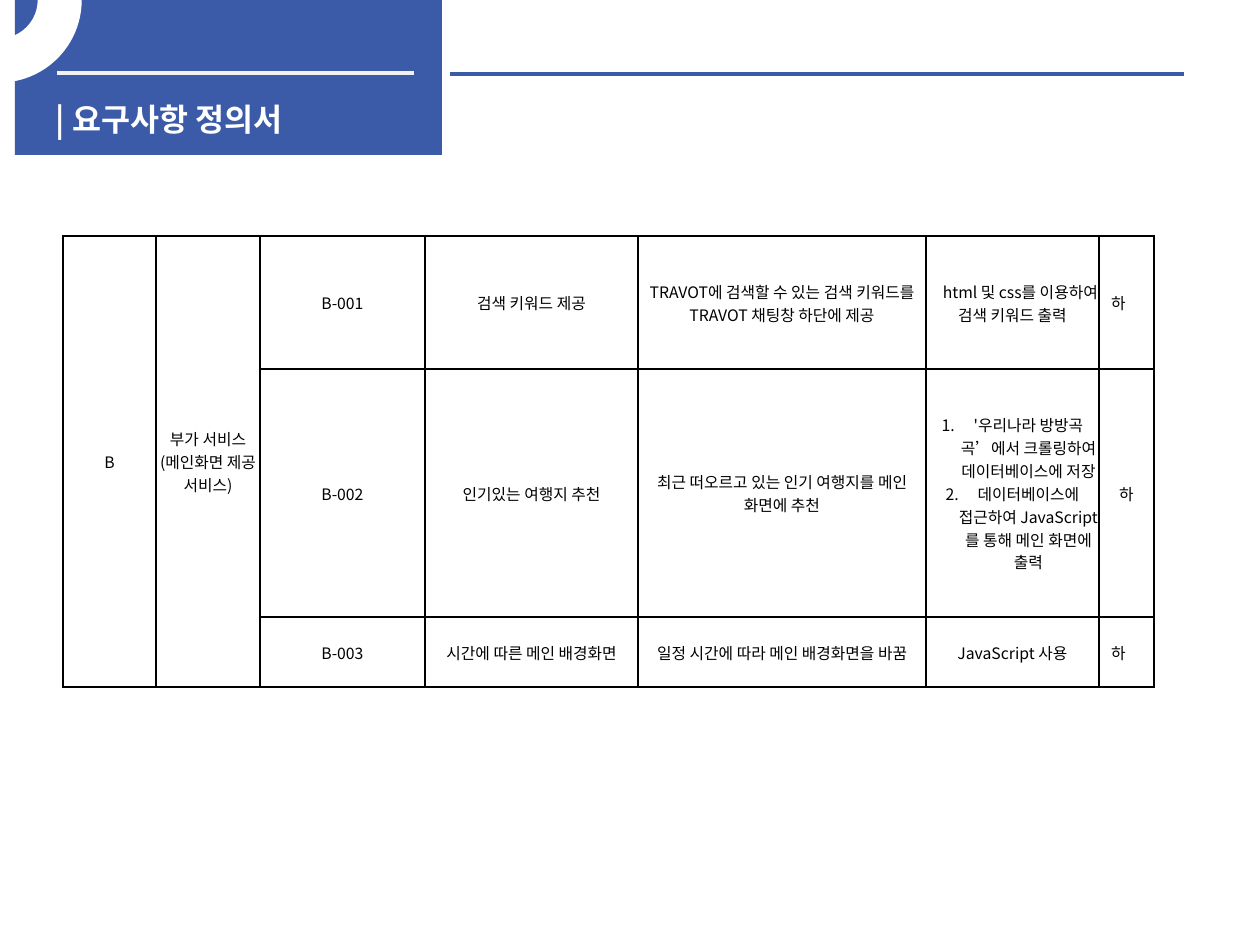
from lxml import etree
from pptx import Presentation
from pptx.dml.color import RGBColor
from pptx.enum.shapes import MSO_CONNECTOR, MSO_SHAPE
from pptx.enum.text import MSO_ANCHOR, MSO_AUTO_SIZE, PP_ALIGN
from pptx.oxml.ns import qn
from pptx.util import Emu, Pt

RECTANGLE, BLOCK_ARC = MSO_SHAPE.RECTANGLE, MSO_SHAPE.BLOCK_ARC
STRAIGHT = MSO_CONNECTOR.STRAIGHT
TOP, MIDDLE = MSO_ANCHOR.TOP, MSO_ANCHOR.MIDDLE
LEFT, CENTER = PP_ALIGN.LEFT, PP_ALIGN.CENTER
NO_FIT = MSO_AUTO_SIZE.NONE
TITLE_ONLY = 5
FONT = "Noto Sans CJK KR"
BLUE, WHITE, PALE, BLACK = "3B5AA8", "FFFFFF", "F2F2F2", "000000"

COLUMNS = [93, 104, 165, 213, 288, 173, 55]
ROWS = [133, 248, 70]
GROUP = [["B"], ["부가 서비스", "(메인화면 제공 서비스)"]]
REQUIREMENTS = [
    [["B-001"], ["검색 키워드 제공"],
     ["TRAVOT에 검색할 수 있는 검색 키워드를 TRAVOT 채팅창 하단에 제공"],
     ["　html 및 css를 이용하여 검색 키워드 출력"], ["하　"]],
    [["B-002"], ["인기있는 여행지 추천"],
     ["최근 떠오르고 있는 인기 여행지를 메인 화면에 추천"],
     ["'우리나라 방방곡곡’에서 크롤링하여 데이터베이스에 저장",
      "데이터베이스에 접근하여 JavaScript를 통해 메인 화면에 출력"], ["하"]],
    [["B-003"], ["시간에 따른 메인 배경화면"],
     ["일정 시간에 따라 메인 배경화면을 바꿈"],
     ["JavaScript 사용"], ["하　"]],
]
NUMBERED_CELL = (1, 5)


def px(length):
    """Convert pixels at 126 to the inch into EMU."""
    return Emu(round(length * 914400 / 126))


def color(value):
    """Turn a hex string into a colour."""
    return RGBColor.from_string(value)


def write(frame, lines, size=9, ink=BLACK, bold=False, align=CENTER, numbered=False):
    """Write one formatted paragraph per line into a text frame."""
    for index, line in enumerate(lines):
        paragraph = frame.add_paragraph() if index else frame.paragraphs[0]
        paragraph.alignment = align
        if numbered:
            properties = paragraph._p.get_or_add_pPr()
            properties.set("marL", str(px(32)))
            properties.set("indent", str(-px(32)))
            etree.SubElement(properties, qn("a:buFont"), typeface="+mj-lt")
            etree.SubElement(properties, qn("a:buAutoNum"), type="arabicPeriod")
        run = paragraph.add_run()
        run.text = line
        run.font.size = Pt(size)
        run.font.bold = bold
        run.font.color.rgb = color(ink)
        run.font.name = FONT
        etree.SubElement(run._r.get_or_add_rPr(), qn("a:ea"), typeface=FONT)


def add_block(slide, kind, left, top, width, height, fill, outline=0):
    """Add a filled preset shape."""
    block = slide.shapes.add_shape(kind, px(left), px(top), px(width), px(height))
    block.shadow.inherit = False
    block.fill.solid()
    block.fill.fore_color.rgb = color(fill)
    if outline:
        block.line.color.rgb = color(fill)
        block.line.width = Pt(outline)
    else:
        block.line.fill.background()
    return block


def add_rule(slide, left, top, width, ink):
    """Add a horizontal rule."""
    rule = slide.shapes.add_connector(
        STRAIGHT, px(left), px(top), px(left + width), px(top))
    rule.line.color.rgb = color(ink)
    rule.line.width = Pt(2.25)
    etree.SubElement(rule._element.spPr, qn("a:effectLst"))


def add_header(slide, left, top, width, height):
    """Build the title band with its rules and ring."""
    add_block(slide, RECTANGLE, left, top, width, height, BLUE)
    add_rule(slide, left + 42, top + 73, 357, PALE)
    add_rule(slide, left + width + 8, top + 74, 734, BLUE)

    title = slide.shapes.title
    title.left, title.top = px(left + 28), px(top + 94)
    title.width, title.height = px(407), px(38)
    frame = title.text_frame
    frame.auto_size = NO_FIT
    frame.word_wrap = True
    frame.vertical_anchor = TOP
    write(frame, ["| 요구사항 정의서"], size=18, ink=WHITE, bold=True, align=LEFT)
    slide.shapes._spTree.append(title._element)

    ring = add_block(slide, BLOCK_ARC, left - 97, top - 81, 162, 162, WHITE, outline=2)
    for index, value in enumerate([96.95, 0, 0.25]):
        ring.adjustments[index] = value
    ring._element.spPr.xfrm.set("flipV", "1")


def set_borders(cell):
    """Draw a thin black border on every side of a cell."""
    properties = cell._tc.get_or_add_tcPr()
    for index, side in enumerate(["lnL", "lnR", "lnT", "lnB"]):
        border = etree.Element(qn(f"a:{side}"), w=str(Pt(1)))
        fill = etree.SubElement(border, qn("a:solidFill"))
        etree.SubElement(fill, qn("a:srgbClr"), val=BLACK)
        properties.insert(index, border)


def add_requirements(slide, left, top):
    """Build the requirements table."""
    table = slide.shapes.add_table(
        len(ROWS), len(COLUMNS), px(left), px(top),
        px(sum(COLUMNS)), px(sum(ROWS))).table
    table.first_row = table.horz_banding = False
    for column, width in zip(table.columns, COLUMNS):
        column.width = px(width)
    for row, height in zip(table.rows, ROWS):
        row.height = px(height)

    for cell in table.iter_cells():
        cell.fill.background()
        cell.vertical_anchor = MIDDLE
        cell.margin_left = cell.margin_right = cell.margin_top = px(1)
        cell.margin_bottom = 0
        set_borders(cell)

    for column, lines in enumerate(GROUP):
        table.cell(0, column).merge(table.cell(len(ROWS) - 1, column))
        write(table.cell(0, column).text_frame, lines)
    for row, requirement in enumerate(REQUIREMENTS):
        for column, lines in enumerate(requirement, len(GROUP)):
            write(table.cell(row, column).text_frame, lines,
                  numbered=(row, column) == NUMBERED_CELL)


def main():
    """Build and save the slide."""
    deck = Presentation()
    deck.slide_width, deck.slide_height = px(1260), px(945)
    slide = deck.slides.add_slide(deck.slide_layouts[TITLE_ONLY])
    add_header(slide, 15, 0, 427, 155)
    add_requirements(slide, 63, 236)
    deck.save("out.pptx")


if __name__ == "__main__":
    main()
